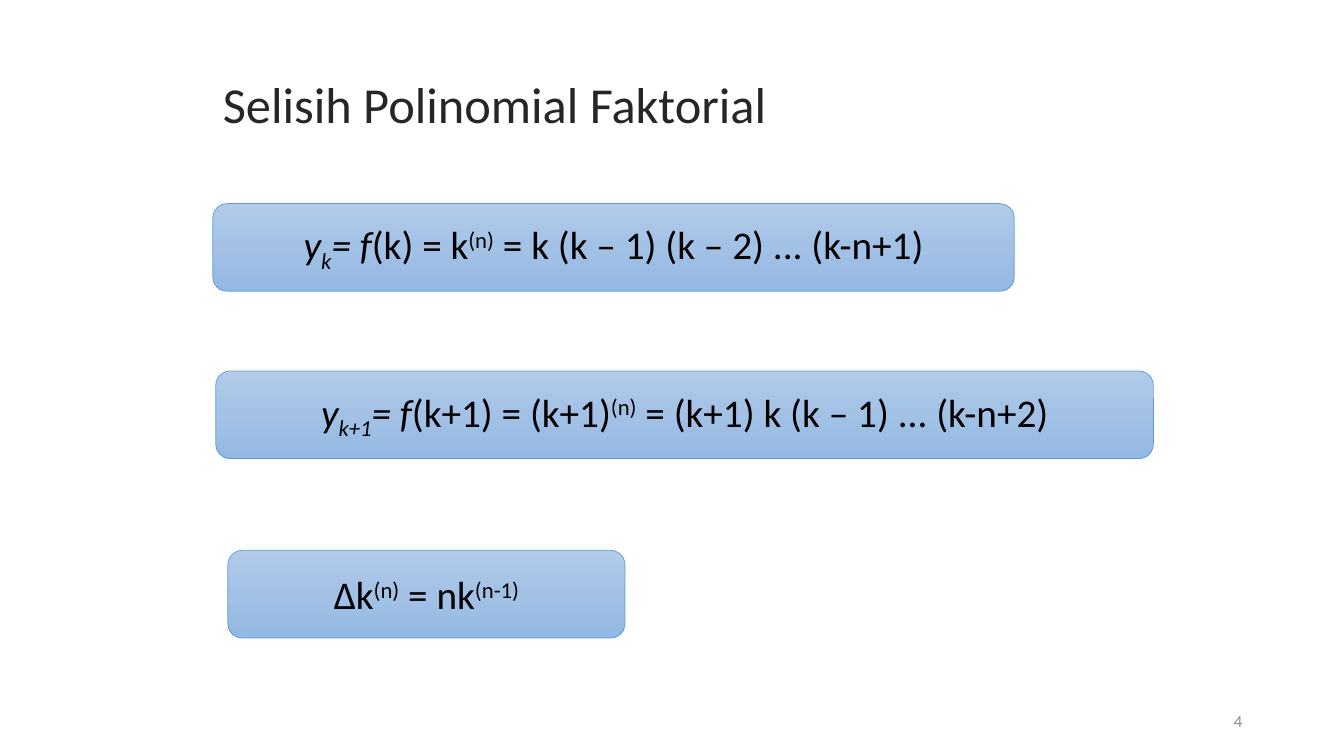
from copy import deepcopy

from pptx import Presentation
from pptx.dml.color import RGBColor
from pptx.enum.shapes import MSO_SHAPE
from pptx.enum.text import MSO_ANCHOR, PP_ALIGN
from pptx.util import Inches, Pt

ROUNDED = MSO_SHAPE.ROUNDED_RECTANGLE
TOP, MIDDLE = MSO_ANCHOR.TOP, MSO_ANCHOR.MIDDLE
LEFT, CENTER, RIGHT = PP_ALIGN.LEFT, PP_ALIGN.CENTER, PP_ALIGN.RIGHT

FONT = "Calibri"
COLORS = {"title": "262626", "formula": "000000", "number": "8C8C8C", "border": "5B9BD5"}
GRADIENT = [(0, "B1CBE9"), (0.5, "A3C1E5"), (1, "93B9E4")]
SUB, SUP = "-25000", "30000"

TITLE = "Selisih Polinomial Faktorial"
SLIDE_NUMBER = "4"
BOX_HEIGHT = 0.87
FORMULAS = [
    ((2.11, 2.02, 7.95), [
        ("y", True, None), ("k", True, SUB), ("= f", True, None), ("(k) = k", False, None),
        ("(n)", False, SUP), (" = k (k – 1) (k – 2) ... (k-n+1)", False, None)]),
    ((2.14, 3.68, 9.3), [
        ("y", True, None), ("k+1", True, SUB), ("= f", True, None), ("(k+1) = (k+1)", False, None),
        ("(n)", False, SUP), (" = (k+1) k (k – 1) ... (k-n+2)", False, None)]),
    ((2.26, 5.46, 3.94), [
        ("Δk", False, None), ("(n)", False, SUP), (" = nk", False, None), ("(n-1)", False, SUP)]),
]


def format_text(shape, size, color, alignment, anchor):
    frame = shape.text_frame
    frame.word_wrap = True
    frame.vertical_anchor = anchor
    paragraph = frame.paragraphs[0]
    paragraph.alignment = alignment
    paragraph.line_spacing = 1.0
    paragraph.font.name = FONT
    paragraph.font.size = Pt(size)
    paragraph.font.color.rgb = RGBColor.from_string(COLORS[color])
    return paragraph


def fill_gradient(shape):
    fill = shape.fill
    fill.gradient()
    fill.gradient_angle = 270
    first_stop = shape._element.spPr.find(".//{*}gs")
    first_stop.addnext(deepcopy(first_stop))
    for stop, (position, color) in zip(fill.gradient_stops, GRADIENT):
        stop.position = position
        stop.color.rgb = RGBColor.from_string(color)


def add_formula(slide, place, runs):
    left, top, width = place
    shape = slide.shapes.add_shape(
        ROUNDED, Inches(left), Inches(top), Inches(width), Inches(BOX_HEIGHT))
    shape.shadow.inherit = False
    fill_gradient(shape)
    shape.line.color.rgb = RGBColor.from_string(COLORS["border"])
    shape.line.width = Pt(0.5)
    paragraph = format_text(shape, 28, "formula", CENTER, MIDDLE)
    for text, italic, baseline in runs:
        run = paragraph.add_run()
        run.text = text
        run.font.italic = italic
        if baseline:
            run.font._element.set("baseline", baseline)


def main():
    presentation = Presentation()
    presentation.slide_width, presentation.slide_height = Inches(13.33), Inches(7.5)
    slide = presentation.slides.add_slide(presentation.slide_layouts[5])

    title = slide.shapes.title
    title.left, title.top = Inches(2.11), Inches(0.68)
    title.width, title.height = Inches(8.17), Inches(0.85)
    title.text_frame.text = TITLE
    format_text(title, 36, "title", LEFT, TOP)

    for place, runs in FORMULAS:
        add_formula(slide, place, runs)

    number = slide.shapes.add_textbox(Inches(9.42), Inches(6.95), Inches(3), Inches(0.4))
    number.text_frame.text = SLIDE_NUMBER
    format_text(number, 12, "number", RIGHT, MIDDLE)

    presentation.save("out.pptx")


if __name__ == "__main__":
    main()
